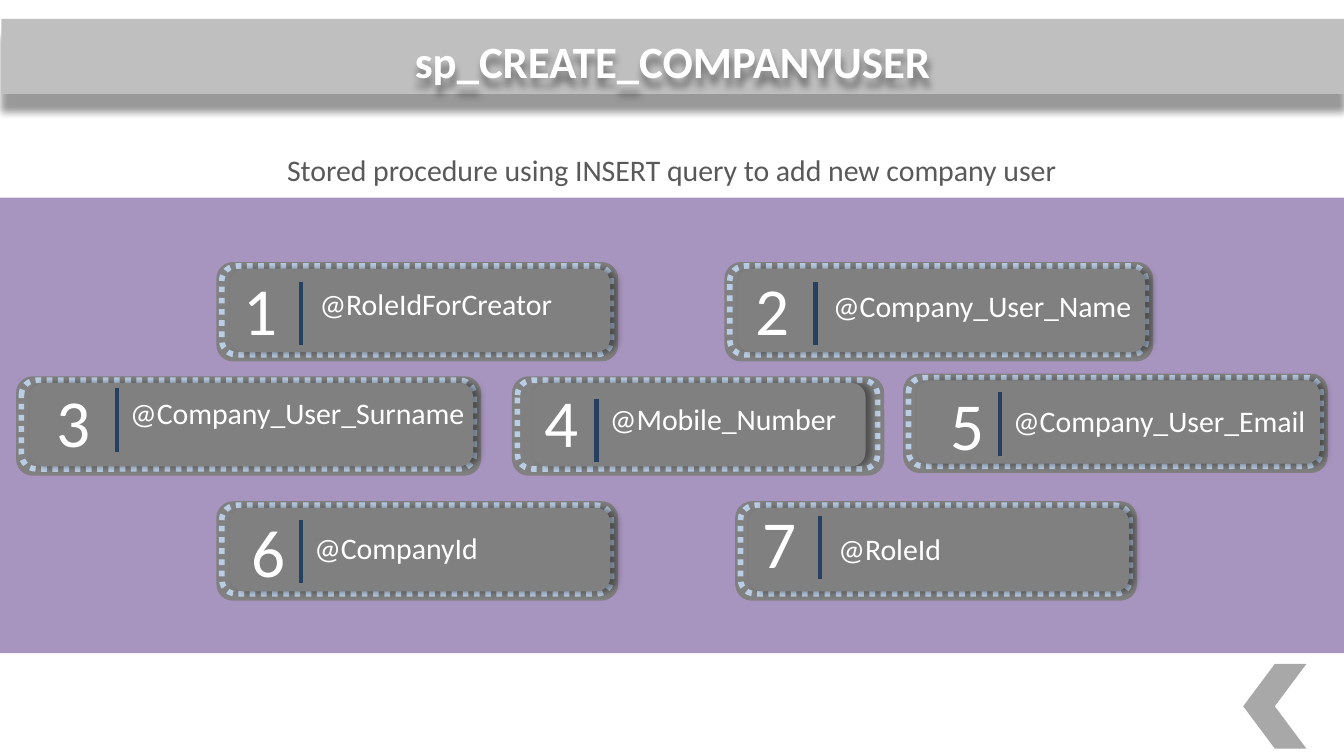
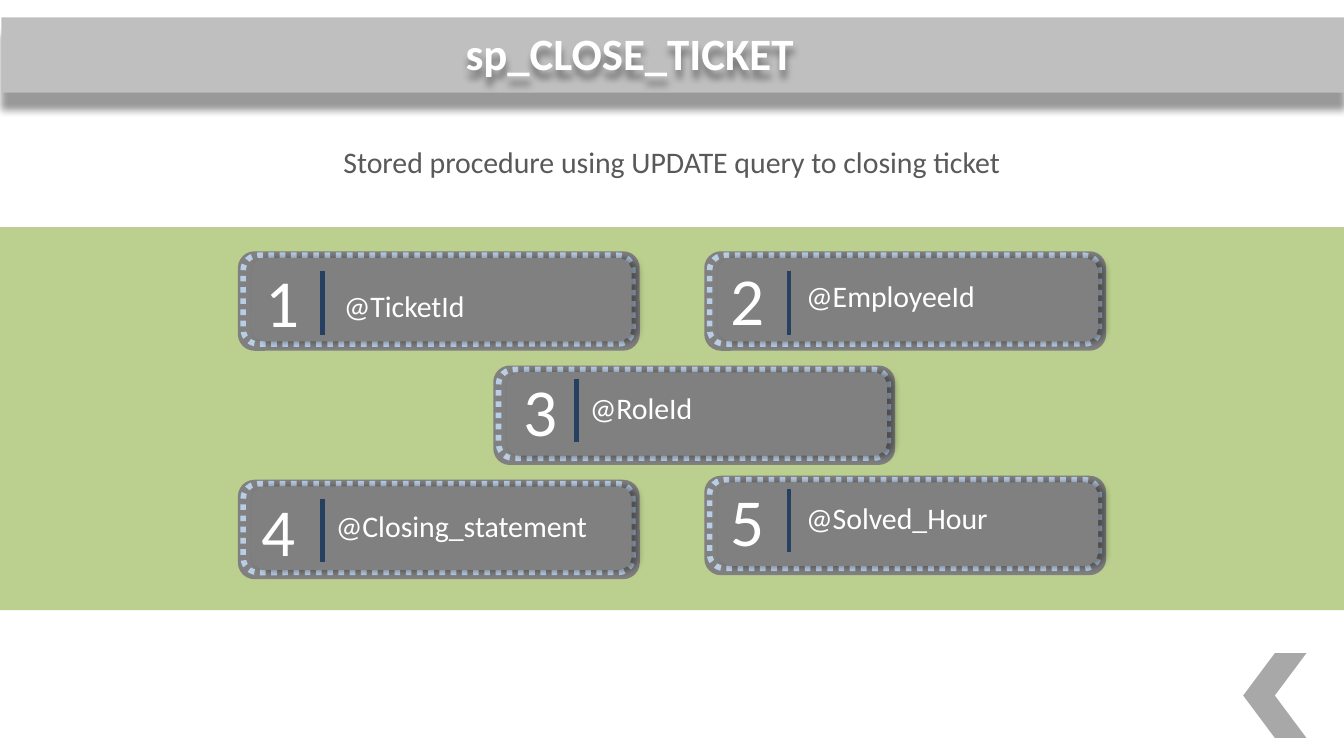
from lxml.etree import SubElement
from pptx import Presentation
from pptx.dml.color import RGBColor
from pptx.enum.dml import MSO_LINE
from pptx.enum.shapes import MSO_CONNECTOR, MSO_SHAPE
from pptx.enum.text import MSO_AUTO_SIZE, PP_ALIGN
from pptx.oxml import parse_xml
from pptx.oxml.ns import nsdecls, qn
from pptx.util import Pt

PX = 9144  # 100 px to the inch
FONT = "Calibri"
COLORS = {
    "band": "BFBFBF",
    "card": "808080",
    "dots": "B9CDE5",
    "divider": "254061",
    "subtitle": "595959",
    "white": "FFFFFF",
    "purple": "8064A2",
    "green": "9BBB59",
}
# Distance in points and direction in degrees of each shadow
SHADOWS = {
    name: f'<a:effectLst {nsdecls("a")}><a:outerShdw blurRad="{Pt(4)}" dist="{Pt(distance)}" '
          f'dir="{degrees * 60000}" algn="ctr" rotWithShape="0"><a:srgbClr val="000000">'
          '<a:alpha val="40000"/></a:srgbClr></a:outerShdw></a:effectLst>'
    for name, distance, degrees in [("band", 9, 90), ("title", 4, 90), ("plate", 3, 0)]
}


def add_box(page, kind, bounds, color, alpha=None, shadow=None, dotted=False):
    box = page.shapes.add_shape(kind, *(PX * length for length in bounds))
    box.fill.solid()
    box.fill.fore_color.rgb = RGBColor.from_string(COLORS[color])
    if alpha:
        swatch = box._element.spPr.find(qn("a:solidFill"))[0]
        SubElement(swatch, qn("a:alpha"), val=str(alpha * 1000))
    if dotted:
        box.line.color.rgb = RGBColor.from_string(COLORS["dots"])
        box.line.width = Pt(3)
        box.line.dash_style = MSO_LINE.ROUND_DOT
    else:
        box.line.fill.background()
    if shadow:
        box._element.spPr.append(parse_xml(SHADOWS[shadow]))
    else:
        box.shadow.inherit = False
    return box


def add_text(page, text, bounds, size, color="white", align=PP_ALIGN.CENTER,
             bold=False, grow=True, insets=(10, 5), shadow=None):
    box = page.shapes.add_textbox(*(PX * length for length in bounds))
    frame = box.text_frame
    frame.word_wrap = True
    frame.auto_size = MSO_AUTO_SIZE.SHAPE_TO_FIT_TEXT if grow else MSO_AUTO_SIZE.NONE
    frame.margin_left = frame.margin_right = PX * insets[0]
    frame.margin_top = frame.margin_bottom = PX * insets[1]
    para = frame.paragraphs[0]
    para.alignment = align
    span = para.add_run()
    span.text = text
    span.font.name = FONT
    span.font.size = Pt(size)
    span.font.bold = bold
    span.font.color.rgb = RGBColor.from_string(COLORS[color])
    if shadow:
        box._element.spPr.append(parse_xml(SHADOWS[shadow]))


# Cards: parameter, card (left, top, width), number (left, top, width),
# divider (x, top), label (left, top, width, height)
PAGES = [
    {
        "title": "sp_CREATE_COMPANYUSER",
        "subtitle": "Stored procedure using INSERT query to add new company user",
        "panel": ("purple", 147, 339),
        "band_top": 14,
        "title_place": (21, 999),
        "subtitle_top": 108,
        "chevron_top": 494,
        "cards": [
            ("@RoleIdForCreator", (161, 195, 299), (162, 195, 64), (224, 210), (228, 208, 233, 37)),
            ("@Company_User_Name", (539, 195, 319), (540, 195, 69), (607, 210), (610, 209, 248, 64)),
            ("@Company_User_Surname", (12, 280, 346), (18, 278, 73), (87, 289), (87, 289, 271, 64)),
            ("@Mobile_Number", (381, 280, 277), (388, 278, 59), (444, 297), (444, 293, 192, 37)),
            ("@Company_User_Email", (672, 278, 316), (689, 280, 61), (744, 292), (744, 295, 244, 37)),
            ("@CompanyId", (161, 373, 299), (169, 375, 61), (224, 387), (224, 389, 229, 37)),
            ("@RoleId", (547, 373, 299), (548, 368, 64), (610, 384), (614, 390, 233, 37)),
        ],
    },
    {
        "title": "sp_CLOSE_TICKET",
        "subtitle": "Stored procedure using UPDATE query to closing ticket",
        "panel": ("green", 169, 285),
        "band_top": 13,
        "title_place": (15, 935),
        "subtitle_top": 102,
        "chevron_top": 486,
        "cards": [
            ("@TicketId", (177, 187, 299), (178, 189, 64), (240, 202), (246, 209, 223, 37)),
            ("@EmployeeId", (524, 187, 299), (524, 187, 64), (587, 202), (590, 202, 233, 37)),
            ("@RoleId", (367, 272, 299), (373, 270, 59), (429, 282), (429, 285, 220, 37)),
            ("@Closing_statement", (177, 357, 299), (177, 359, 61), (240, 371), (240, 373, 229, 37)),
            ("@Solved_Hour", (524, 354, 299), (524, 352, 64), (587, 364), (590, 367, 233, 37)),
        ],
    },
]
# Left offset and width reduction of a card's inner plate
INNER_PLATE = (10, 16)
NARROW_PLATES = {"@Mobile_Number": (15, 29)}

deck = Presentation()
deck.slide_width = 1000 * PX
deck.slide_height = deck.slide_width * 9 // 16

for content in PAGES:
    page = deck.slides.add_slide(deck.slide_layouts[6])
    color, top, height = content["panel"]
    add_box(page, MSO_SHAPE.RECTANGLE, (0, top, 1000, height), color, alpha=68)
    add_box(page, MSO_SHAPE.RECTANGLE, (1, content["band_top"], 999, 56), "band", shadow="band")
    top, width = content["title_place"]
    add_text(page, content["title"], (1, top, width, 48), 24, bold=True, grow=False,
             insets=(7, 4), shadow="title")
    add_text(page, content["subtitle"], (0, content["subtitle_top"], 1000, 37), 16, "subtitle")

    for number, (name, card, digit, divider, label) in enumerate(content["cards"], 1):
        left, top, width = card
        shift, cut = NARROW_PLATES.get(name, INNER_PLATE)
        rounded = MSO_SHAPE.ROUNDED_RECTANGLE
        add_box(page, rounded, (left, top, width, 74), "card")
        add_box(page, rounded, (left + 4, top + 3, width - 9, 66), "card", dotted=True)
        add_box(page, rounded, (left + shift, top + 5, width - cut, 62), "card", shadow="plate")

        left, top, width = digit
        add_text(page, str(number), (left, top, width, 71), 36)
        x, top = divider
        line = page.shapes.add_connector(
            MSO_CONNECTOR.STRAIGHT, x * PX, top * PX, x * PX, (top + 47) * PX)
        line.line.color.rgb = RGBColor.from_string(COLORS["divider"])
        line.line.width = Pt(2.5)
        SubElement(line._element.spPr, qn("a:effectLst"))
        add_text(page, name, label, 16, align=PP_ALIGN.LEFT)

    chevron = add_box(page, MSO_SHAPE.CHEVRON, (925, content["chevron_top"], 47, 63), "card", alpha=68)
    chevron.rotation = 180

deck.save("out.pptx")
